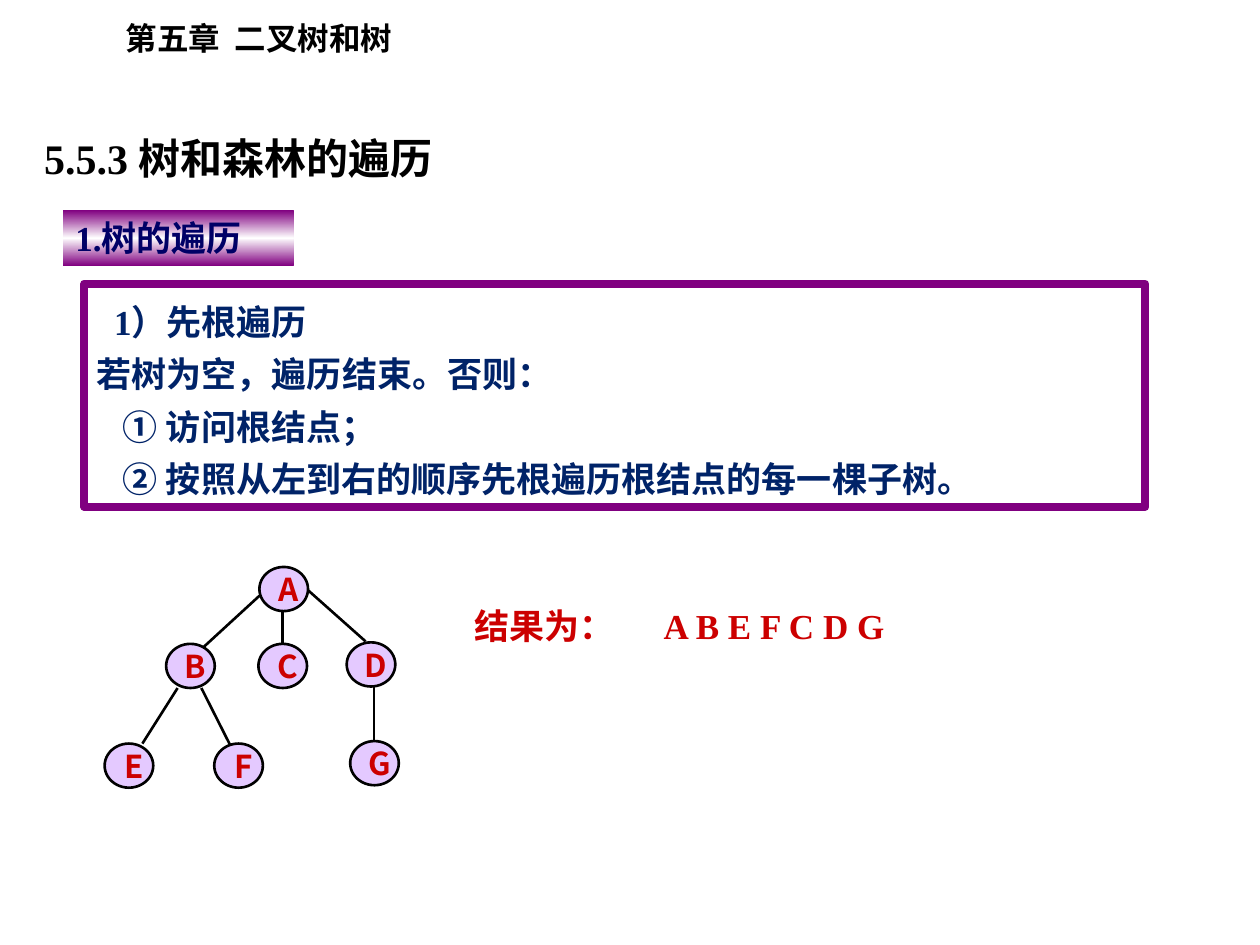
from copy import deepcopy

from lxml import etree
from pptx import Presentation
from pptx import util as u
from pptx.dml.color import RGBColor
from pptx.enum import shapes, text
from pptx.oxml import ns

COLORS = {
    "black": "000000", "white": "FFFFFF", "purple": "800080", "lilac": "E4C9FF",
    "navy": "002368", "indigo": "000066", "red": "CC0000",
}
SERIF, SANS = "Times New Roman", "Noto Sans CJK SC"

CHAPTER = "第五章  二叉树和树"
SECTION = "5.5.3 树和森林的遍历"
TOPIC = "1.树的遍历"
RESULT = "结果为：\tA B E F C D G"
RESULT_TAB = 5.24

# text, first-line indent in cm
STEPS = [
    ("1）先根遍历", 0.35),
    ("若树为空，遍历结束。否则：", 0),
    ("① 访问根结点；", 0.53),
    ("② 按照从左到右的顺序先根遍历根结点的每一棵子树。", 0.53),
]

# tree node: left, top in cm
NODE_SIZE = (0.98, 0.89)
NODES = {
    "A": (5.23, 11.43),
    "B": (3.35, 12.98), "C": (5.21, 12.98), "D": (6.99, 12.95),
    "E": (2.11, 14.99), "F": (4.32, 14.99), "G": (7.06, 14.94),
}
# tree branch: start x, y, end x, y in cm
BRANCHES = [
    (5.23, 12.01, 4.01, 13.13),  # A-B
    (5.69, 12.32, 5.69, 12.98),  # A-C
    (6.20, 11.89, 7.37, 12.93),  # A-D
    (3.58, 13.87, 2.87, 14.99),  # B-E
    (4.06, 13.87, 4.65, 15.04),  # B-F
    (7.54, 13.82, 7.54, 14.94),  # D-G
]


def rgb(name):
    return RGBColor.from_string(COLORS[name])


def write(shape, lines, size=20, color="black", font=SERIF, spacing=None,
          align=text.PP_ALIGN.LEFT, anchor=text.MSO_ANCHOR.TOP, wrap=True, tab=None):
    """Fill a shape with (text, first-line indent) lines; a string is one line."""
    if isinstance(lines, str):
        lines = [(lines, 0)]
    frame = shape.text_frame
    frame.word_wrap, frame.vertical_anchor = wrap, anchor
    for index, (words, indent) in enumerate(lines):
        paragraph = frame.paragraphs[0] if index == 0 else frame.add_paragraph()
        paragraph.alignment = align
        if spacing:
            paragraph.line_spacing = spacing
        properties = paragraph._p.get_or_add_pPr()
        properties.set("marL", "0")
        properties.set("indent", str(u.Cm(indent)))
        if tab:
            tabs = etree.SubElement(properties, ns.qn("a:tabLst"))
            etree.SubElement(tabs, ns.qn("a:tab"), pos=str(u.Cm(tab)), algn="l")
        run = paragraph.add_run()
        run.text = words
        run.font.size, run.font.bold, run.font.name = u.Pt(size), True, font
        run.font.color.rgb = rgb(color)
        etree.SubElement(run._r.get_or_add_rPr(), ns.qn("a:ea"), typeface=SANS)
    return frame


def add_text(slide, box, lines, **style):
    return write(slide.shapes.add_textbox(*map(u.Cm, box)), lines, **style)


def add_shape(slide, kind, box, fill=None, line=None, width=1.5):
    shape = slide.shapes.add_shape(kind, *map(u.Cm, box))
    shape.shadow.inherit = False
    if fill:
        shape.fill.solid()
        shape.fill.fore_color.rgb = rgb(fill)
    else:
        shape.fill.background()
    if line:
        shape.line.color.rgb = rgb(line)
        shape.line.width = u.Pt(width)
    else:
        shape.line.fill.background()
    return shape


def add_branch(slide, ends):
    branch = slide.shapes.add_connector(shapes.MSO_CONNECTOR.STRAIGHT, *map(u.Cm, ends))
    branch.line.color.rgb = rgb("black")
    branch.line.width = u.Pt(1.5)
    etree.SubElement(branch._element.spPr, ns.qn("a:effectLst"))


def add_node(slide, name, corner):
    node = add_shape(slide, shapes.MSO_SHAPE.OVAL, corner + NODE_SIZE, "lilac", "black")
    frame = write(node, name, size=18, color="red", font=SANS, wrap=False,
                  align=text.PP_ALIGN.CENTER, anchor=text.MSO_ANCHOR.MIDDLE)
    frame.margin_left, frame.margin_right = u.Cm(0.36), u.Cm(0.15)


def mirror_gradient(shape, edge, middle):
    """Vertical gradient running edge, middle, edge."""
    shape.fill.gradient()
    shape.fill.gradient_angle = 90
    first, second = shape.fill.gradient_stops
    first.color.rgb, first.position = rgb(edge), 0
    second.color.rgb, second.position = rgb(middle), 0.5
    stops = shape._element.spPr.find(".//" + ns.qn("a:gsLst"))
    last = deepcopy(stops[0])
    last.set("pos", "100000")
    stops.append(last)


def main():
    presentation = Presentation()
    presentation.slide_width, presentation.slide_height = u.Cm(25.4), u.Cm(19.05)
    slide = presentation.slides.add_slide(presentation.slide_layouts[6])

    add_text(slide, (2.29, 0.25, 6.17, 1.02), CHAPTER, size=18)
    add_text(slide, (0.64, 2.54, 8.89, 1.27), SECTION, size=24)

    steps = add_shape(slide, shapes.MSO_SHAPE.RECTANGLE, (1.7, 5.72, 21.39, 4.5),
                      line="purple", width=4.5)
    write(steps, STEPS, color="navy", spacing=1.25)

    topic = add_shape(slide, shapes.MSO_SHAPE.RECTANGLE, (1.27, 4.24, 4.65, 1.12))
    mirror_gradient(topic, "purple", "white")
    write(topic, TOPIC, color="indigo")

    add_text(slide, (9.32, 11.86, 14.81, 1.32), RESULT, color="red",
             spacing=1.25, tab=RESULT_TAB)

    for ends in BRANCHES:
        add_branch(slide, ends)
    for name, corner in NODES.items():
        add_node(slide, name, corner)

    presentation.save("out.pptx")


if __name__ == "__main__":
    main()
